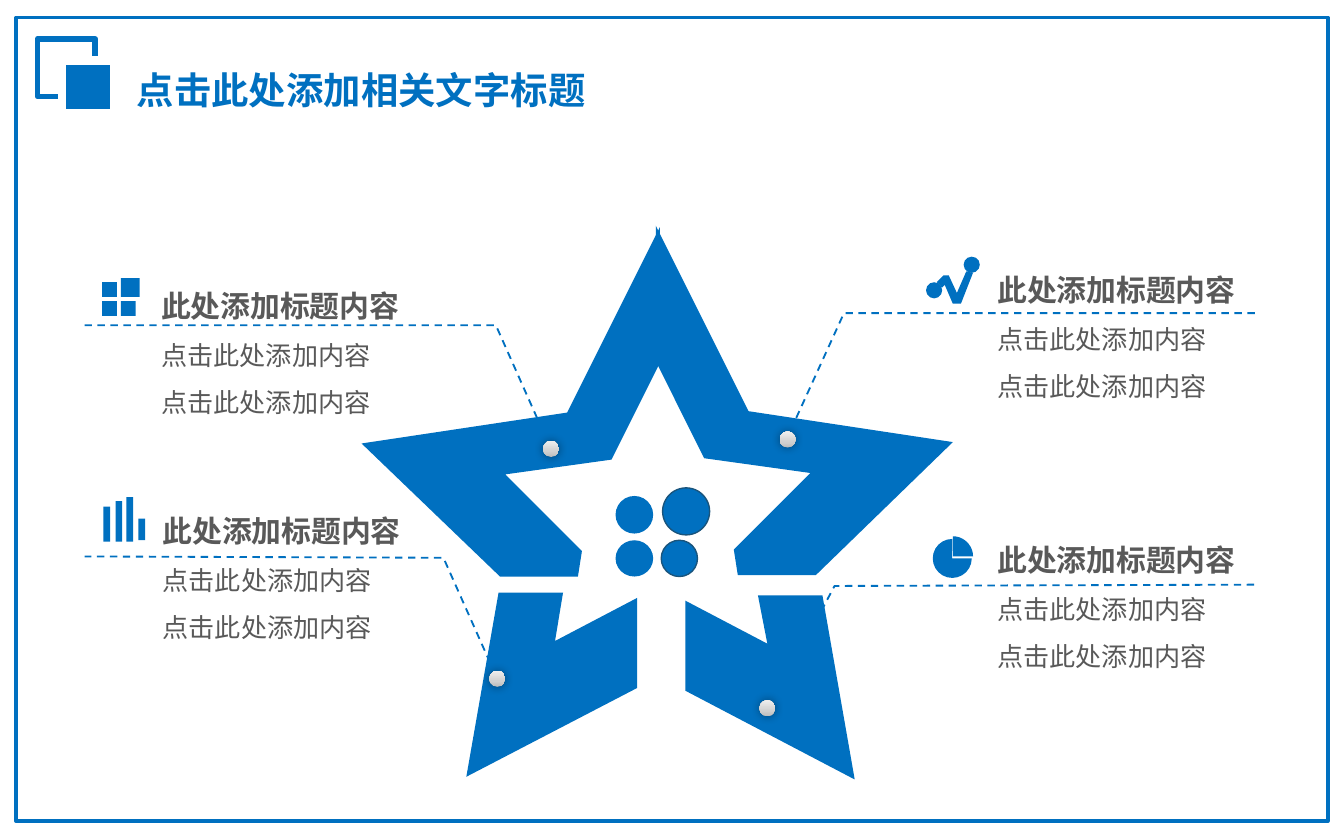
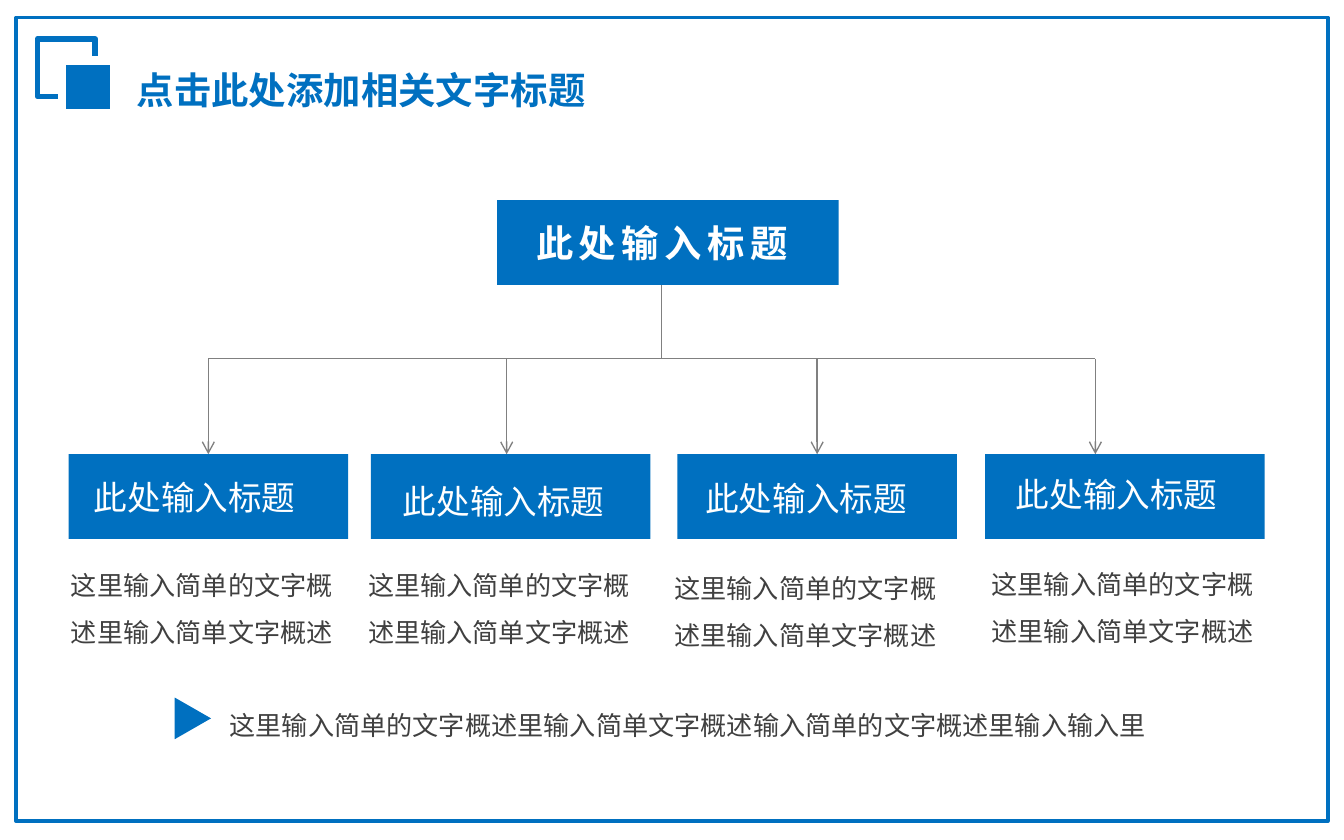
from copy import deepcopy
from math import cos, radians, sin

from lxml import etree
from pptx import Presentation
from pptx.dml.color import RGBColor
from pptx.enum.dml import MSO_LINE
from pptx.enum.shapes import MSO_CONNECTOR, MSO_SHAPE
from pptx.enum.text import MSO_ANCHOR, MSO_AUTO_SIZE, PP_ALIGN
from pptx.oxml.ns import qn
from pptx.util import Inches, Pt

RECT = MSO_SHAPE.RECTANGLE
OVAL = MSO_SHAPE.OVAL
TRIANGLE = MSO_SHAPE.ISOSCELES_TRIANGLE
PIE = MSO_SHAPE.PIE
STRAIGHT = MSO_CONNECTOR.STRAIGHT
DASH = MSO_LINE.DASH
TOP = MSO_ANCHOR.TOP
GROW = MSO_AUTO_SIZE.SHAPE_TO_FIT_TEXT
LEFT = PP_ALIGN.LEFT
JUSTIFY = PP_ALIGN.JUSTIFY

COLORS = {
    "blue": "0070C0",
    "navy": "19547C",
    "white": "FFFFFF",
    "black": "000000",
    "gray": "808080",
    "heading": "595959",
    "body": "404040",
    "pearl_dark": "BDBDBD",
    "pearl_mid": "D1D1D1",
    "pearl_light": "EEEEEE",
}
CJK = "Noto Sans CJK SC"
FORMATS = {
    "title": ({"name": CJK, "size": Pt(20), "bold": True}, "blue"),
    "root": ({"name": CJK, "size": Pt(20), "bold": True}, "white"),
    "node": ({"name": CJK, "size": Pt(18), "bold": False}, "white"),
    "topic": ({"name": CJK, "size": Pt(16), "bold": True}, "heading"),
    "detail": ({"name": CJK, "size": Pt(14), "bold": False}, "heading"),
    "body": ({"name": "Calibri", "size": Pt(14), "bold": False}, "body"),
}


def rgb(color):
    return RGBColor.from_string(COLORS[color])


class Deck:
    def __init__(self):
        self.prs = Presentation()
        self.prs.slide_width = Inches(10)
        self.prs.slide_height = Inches(6.25)

    def new_slide(self, title):
        self.slide = self.prs.slides.add_slide(self.prs.slide_layouts[6])
        self.end_group()
        self.shape(RECT, (0.12, 0.13, 9.76, 5.98), "white", ("blue", 2))
        self.shape(RECT, (0.28, 0.29, 0.43, 0.43), None, ("blue", 3))
        self.shape(RECT, (0.46, 0.45, 0.39, 0.39), "blue", ("white", 4.5))
        self.text((0.92, 0.45, 3.57, 0.44), [(title, "title")], wrap=False)

    def begin_group(self):
        self.canvas = self.slide.shapes.add_group_shape().shapes

    def end_group(self):
        self.canvas = self.slide.shapes

    def paint(self, shape, fill, line):
        shape.shadow.inherit = False
        if fill:
            shape.fill.solid()
            shape.fill.fore_color.rgb = rgb(fill)
        else:
            shape.fill.background()
        if line:
            self.stroke(shape.line, *line)
        else:
            shape.line.fill.background()

    def stroke(self, line, color, width):
        line.color.rgb = rgb(color)
        line.width = Pt(width)

    def line_end(self, line, end, kind):
        etree.SubElement(line._get_or_add_ln(), qn(f"a:{end}"), type=kind)

    def shape(self, preset, box, fill="blue", line=None):
        shape = self.canvas.add_shape(preset, *map(Inches, box))
        self.paint(shape, fill, line)
        return shape

    def outline(self, points, fill="blue", line=None, closed=True):
        corners = [(Inches(x), Inches(y)) for x, y in points]
        builder = self.canvas.build_freeform(*corners[0])
        builder.add_line_segments(corners[1:], close=closed)
        shape = builder.convert_to_shape()
        self.paint(shape, fill, line)
        return shape

    def leader(self, points):
        line = self.outline(points, None, ("blue", 1), closed=False).line
        line.dash_style = DASH
        self.line_end(line, "headEnd", "oval")

    def connector(self, start, end, arrow=False):
        connector = self.canvas.add_connector(STRAIGHT, *map(Inches, start + end))
        self.stroke(connector.line, "gray", 0.75)
        etree.SubElement(connector._element.spPr, qn("a:effectLst"))
        if arrow:
            self.line_end(connector.line, "tailEnd", "arrow")

    def pearl(self, x, y):
        dot = self.shape(OVAL, (x, y, 0.12, 0.12))
        dot.fill.gradient()
        dot.fill.gradient_angle = 90
        first = dot.fill.gradient_stops[0]._gs
        first.addnext(deepcopy(first))
        stops = ((0, "pearl_dark"), (0.35, "pearl_mid"), (1, "pearl_light"))
        for stop, (position, color) in zip(dot.fill.gradient_stops, stops):
            stop.position = position
            stop.color.rgb = rgb(color)
        effects = dot._element.spPr.find(qn("a:effectLst"))
        glow = etree.SubElement(effects, qn("a:outerShdw"), blurRad=str(Pt(5)), dist="0", dir="0")
        shade = etree.SubElement(glow, qn("a:srgbClr"), val=COLORS["black"])
        etree.SubElement(shade, qn("a:alpha"), val="40000")

    def text(self, box, lines, **layout):
        self.set_text(self.canvas.add_textbox(*map(Inches, box)), lines, **layout)

    def label(self, box, text, style, tracking=0):
        shape = self.shape(RECT, box)
        self.set_text(shape, [(text, style)], wrap=False, tracking=tracking)

    def set_text(self, shape, lines, wrap=True, spacing=1.0, align=LEFT, inset=(0.1, 0.05), tracking=0):
        side, edge = map(Inches, inset)
        frame = shape.text_frame
        settings = {
            "word_wrap": wrap, "auto_size": GROW, "vertical_anchor": TOP,
            "margin_left": side, "margin_right": side,
            "margin_top": edge, "margin_bottom": edge,
        }
        for name, value in settings.items():
            setattr(frame, name, value)
        for index, (text, style) in enumerate(lines):
            paragraph = frame.add_paragraph() if index else frame.paragraphs[0]
            paragraph.alignment = align
            paragraph.line_spacing = spacing
            run = paragraph.add_run()
            run.text = text
            values, color = FORMATS[style]
            for name, value in values.items():
                setattr(run.font, name, value)
            run.font.color.rgb = rgb(color)
            properties = run._r.get_or_add_rPr()
            etree.SubElement(properties, qn("a:ea"), typeface=CJK)
            if tracking:
                properties.set("spc", str(tracking * 100))


TITLE = "点击此处添加相关文字标题"

STAR_PARTS = [
    [(5.1, 4.47), (5.1, 5.14), (6.36, 5.8), (6.12, 4.43), (5.64, 4.43), (5.71, 4.79)],
    [(4.74, 4.45), (4.13, 4.77), (4.19, 4.41), (3.71, 4.41), (3.47, 5.78), (4.74, 5.12)],
    [(5.57, 3.06), (4.88, 1.68), (4.88, 2.69), (5.24, 3.41), (6.03, 3.52),
     (5.46, 4.09), (5.49, 4.28), (6.07, 4.28), (7.09, 3.29)],
    [(4.22, 3.07), (2.69, 3.3), (3.72, 4.29), (4.3, 4.29), (4.33, 4.1),
     (3.76, 3.53), (4.55, 3.42), (4.91, 2.7), (4.91, 1.69)],
]
CENTER_DOTS = [
    ((4.58, 3.69, 0.28, 0.28), None),
    ((4.93, 3.63, 0.35, 0.35), ("navy", 0.75)),
    ((4.58, 4.02, 0.28, 0.27), None),
    ((4.92, 4.02, 0.27, 0.27), ("navy", 0.75)),
]
TOPICS = [
    ((7.29, 1.82, 2.51, 1.55), [(5.87, 3.23), (6.28, 2.33), (9.37, 2.33)]),
    ((1.07, 1.94, 2.8, 1.55), [(4.09, 3.32), (3.69, 2.42), (0.63, 2.42)]),
    ((1.08, 3.61, 2.79, 1.25), [(3.7, 5.05), (3.3, 4.15), (0.63, 4.14)]),
    ((7.29, 3.83, 2.08, 1.65), [(5.73, 5.26), (6.21, 4.36), (9.37, 4.35)]),
]
TREND = [(7.19, 2.02), (7.12, 2.18), (7.06, 2.05), (7.02, 2.05), (6.97, 2.1),
         (7.01, 2.14), (7.03, 2.12), (7.09, 2.26), (7.15, 2.26), (7.24, 2.03)]
TILES = [(0.76, 2.1, 0.11), (0.9, 2.07, 0.14), (0.76, 2.24, 0.11), (0.9, 2.24, 0.11)]
BARS = [(0.77, 3.77, 0.26), (0.86, 3.73, 0.3), (0.94, 3.7, 0.33), (1.03, 3.86, 0.16)]
PEARLS = [(4.04, 3.28), (5.8, 3.21), (5.65, 5.21), (3.64, 4.99)]

BRANCHES = [
    (1.55, 0.51, (0.6, 3.5), (0.43, 4.07)),
    (3.77, 2.76, (2.9, 3.53), (2.64, 4.07)),
    (6.08, 5.04, (5.15, 3.51), (4.92, 4.09)),
    (8.15, 7.33, (7.46, 3.48), (7.28, 4.06)),
]


def draw_icons(deck):
    deck.begin_group()
    deck.outline(TREND)
    for x, y in ((7.17, 1.91), (6.89, 2.1)):
        deck.shape(OVAL, (x, y, 0.12, 0.12))
    deck.begin_group()
    for x, y, side in TILES:
        deck.shape(RECT, (x, y, side, side))
    deck.begin_group()
    deck.shape(PIE, (6.94, 4.01, 0.29, 0.29))
    arc = [(7.09 + 0.15 * sin(radians(a)), 4.14 - 0.15 * cos(radians(a))) for a in range(0, 91, 10)]
    deck.outline([(7.09, 4.14)] + arc)
    deck.begin_group()
    for x, y, height in BARS:
        deck.shape(RECT, (x, y, 0.05, height))
    deck.end_group()


def star_slide(deck):
    deck.new_slide(TITLE)
    for part in STAR_PARTS:
        deck.outline(part)
    for box, rim in CENTER_DOTS:
        deck.shape(OVAL, box, "blue", rim)
    lines = [("此处添加标题内容", "topic")] + [("点击此处添加内容", "detail")] * 2
    for box, leader in TOPICS:
        deck.text(box, lines, spacing=1.5, align=JUSTIFY, inset=(0.13, 0.07))
        deck.leader(leader)
    draw_icons(deck)
    for x, y in PEARLS:
        deck.pearl(x, y)


def tree_slide(deck):
    deck.new_slide(TITLE)
    rail, node_top = 2.67, 3.38
    deck.begin_group()
    deck.connector((BRANCHES[0][0], rail), (BRANCHES[-1][0], rail))
    for stem, *_ in BRANCHES:
        deck.connector((stem, rail), (stem, node_top), arrow=True)
    deck.connector((4.92, 2.12), (4.92, rail))
    deck.end_group()
    for *_, (x, y) in BRANCHES:
        deck.text((x, y, 2.2, 0.81), [("这里输入简单的文字概述里输入简单文字概述", "body")], spacing=1.5)
    deck.shape(TRIANGLE, (1.28, 5.21, 0.31, 0.27)).rotation = 90
    summary = "这里输入简单的文字概述里输入简单文字概述输入简单的文字概述里输入输入里"
    deck.text((1.61, 5.11, 7.13, 0.45), [(summary, "body")], spacing=1.5)
    heading = "此处输入标题"
    deck.begin_group()
    deck.shape(RECT, (3.7, 1.49, 2.54, 0.63))
    deck.label((3.89, 1.59, 2.14, 0.44), heading, "root", tracking=3)
    for _, left, (x, y), _ in BRANCHES:
        deck.begin_group()
        deck.shape(RECT, (left, node_top, 2.08, 0.63))
        deck.label((x, y, 1.72, 0.4), heading, "node")
    deck.end_group()


def main():
    deck = Deck()
    star_slide(deck)
    tree_slide(deck)
    deck.prs.save("out.pptx")


if __name__ == "__main__":
    main()
